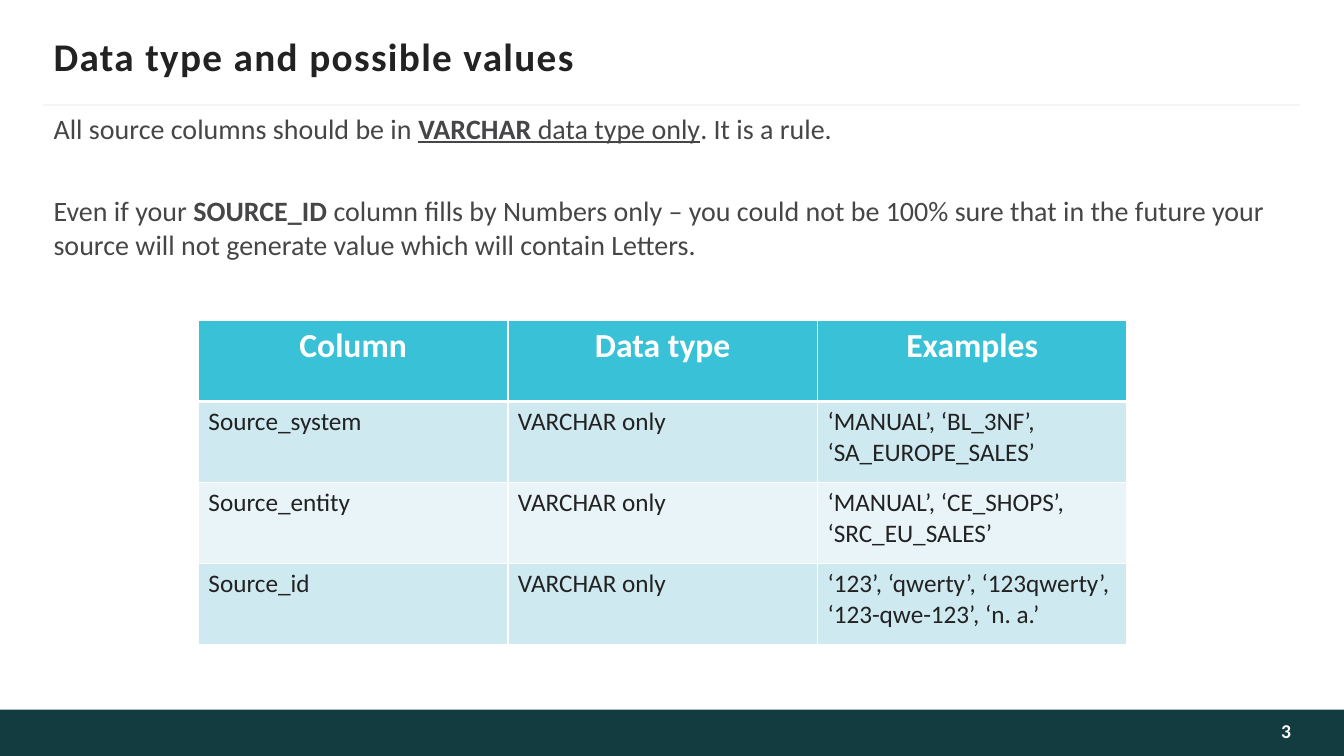
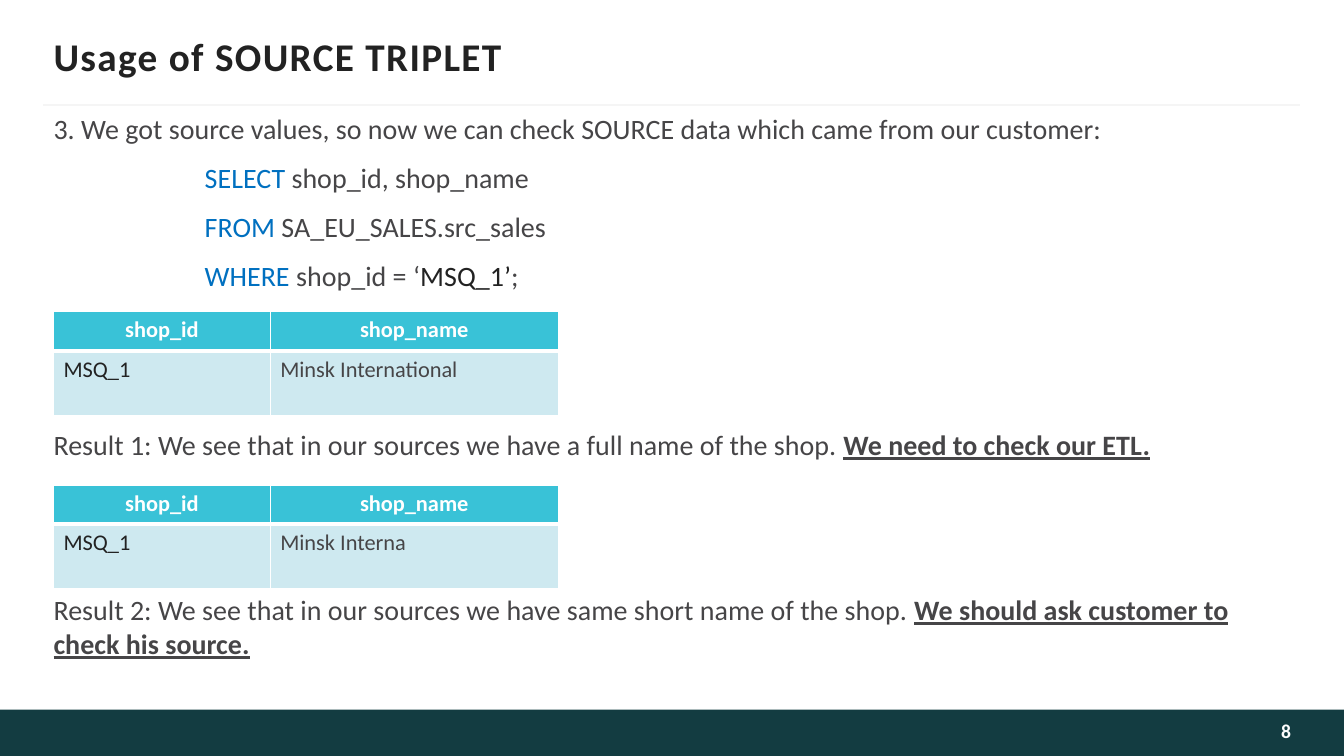
from dataclasses import dataclass

from pptx import Presentation
from pptx.dml.color import RGBColor
from pptx.enum.shapes import MSO_CONNECTOR as Line, MSO_SHAPE as Shape
from pptx.enum.text import MSO_ANCHOR as Anchor, MSO_AUTO_SIZE as Fit, PP_ALIGN as Align
from pptx.oxml.ns import qn
from pptx.util import Cm, Pt
from lxml.etree import SubElement as Sub


@dataclass(frozen=True)
class Theme:
    font: str = "Calibri"
    ink: str = "222222"
    gray: str = "464547"
    blue: str = "0070C0"
    white: str = "FFFFFF"
    pale: str = "FEFEFE"
    rule: str = "F5F5F5"
    band: str = "133C41"
    head: str = "39C2D7"
    odd: str = "CEE9F0"
    even: str = "E8F4F8"
    title: int = 28
    body: int = 20
    num: int = 14


T = Theme()

# Page geometry in centimetres
WIDE, HIGH = 33.87, 19.05
LEFT, BAND = 1.35, 17.88
TITLE = (LEFT, 0.84, 31.22, 1.12)
RULE = (1.09, 2.64, 32.77, 2.64)
TOP, SPAN = 2.8, 30.73
NUM = (27.46, BAND, 5.08, HIGH - BAND)
INDENT = 3.81


# Content: a paragraph is (space before, space after, indent, runs);
# a run is (text, marks, colour), where b is bold and u is underlined
def para(before, after, *runs, indent=0):
    return before, after, indent, runs


def query(word, *rest):
    return para(5, 6, (word, "", T.blue), *rest, indent=INDENT)


def shops(top, name):
    return dict(at=(LEFT, top), cols=[5.46, 7.26], rows=[0.99, 1.63],
                sizes=(16, 16), inks=[T.ink, T.gray],
                cells=[("shop_id", "shop_name"), ("MSQ_1", name)])


SLIDES = [
    dict(
        title="Data type and possible values", num="3", high=4.45,
        text=[
            para(2.6, 3, ("All source columns should be in ",), ("VARCHAR ", "bu"),
                 ("data type only", "u"), (". It is a rule.",)),
            para(32, 3, ("Even if your ",), ("SOURCE_ID ", "b"),
                 ("column fills by Numbers only – you could not be 100% sure that "
                  "in the future your source will not generate value which will "
                  "contain Letters.",)),
        ],
        tables=[dict(
            at=(5, 8.08), cols=[7.8] * 3, rows=[2.04] * 4,
            sizes=(24, 18), inks=[T.ink] * 3,
            cells=[
                ("Column", "Data type", "Examples"),
                ("Source_system", "VARCHAR only",
                 "‘MANUAL’, ‘BL_3NF’, ‘SA_EUROPE_SALES’"),
                ("Source_entity", "VARCHAR only",
                 "‘MANUAL’, ‘CE_SHOPS’, ‘SRC_EU_SALES’"),
                ("Source_id", "VARCHAR only",
                 "‘123’, ‘qwerty’, ‘123qwerty’, ‘123-qwe-123’, ‘n. a.’"),
            ])],
    ),
    dict(
        title="Usage of SOURCE TRIPLET", num="8", high=13.8,
        text=[
            para(2.6, 6, ("3. We got source values, so now we can check SOURCE data "
                          "which came from our customer:",)),
            query("SELECT ", ("shop_id, shop_name",)),
            query("FROM ", ("SA_EU_SALES.src_sales",)),
            query("WHERE ", ("shop_id = ‘",), ("MSQ_1’", "", T.ink), (";",)),
            para(91, 3, ("Result 1: We see that in our sources we have a full name "
                         "of the shop. ",), ("We need to check our ETL.", "bu")),
            para(91, 3, ("Result 2: We see that in our sources we have same short "
                         "name of the shop. ",),
                 ("We should ask customer to check his source.", "bu")),
        ],
        tables=[shops(7.85, "Minsk International"), shops(12.22, "Minsk Interna")],
    ),
]


# Helpers
def rgb(code):
    return RGBColor.from_string(code)


def cms(vals):
    return [Cm(v) for v in vals]


def style(run, size, color, bold=False, under=False):
    font = run.font
    font.name, font.size, font.bold = T.font, Pt(size), bold
    font.underline = under
    font.color.rgb = rgb(color)


def frame(shape, pads, anchor=Anchor.TOP):
    box = shape.text_frame
    box.word_wrap, box.auto_size = True, Fit.NONE
    box.vertical_anchor = anchor
    (box.margin_left, box.margin_top,
     box.margin_right, box.margin_bottom) = cms(pads)
    return box


def label(box, text, size, color, align):
    box.text = text
    line = box.paragraphs[0]
    line.alignment = align
    style(line.runs[0], size, color, bold=True)
    return line.runs[0]


# Title, rule, band and number
def base(slide, title, num):
    band = slide.shapes.add_shape(Shape.RECTANGLE, *cms((0, BAND, WIDE, HIGH - BAND)))
    band.shadow.inherit = False
    band.fill.solid()
    band.fill.fore_color.rgb = rgb(T.band)
    band.line.fill.background()

    rule = slide.shapes.add_connector(Line.STRAIGHT, *cms(RULE))
    rule.line.color.rgb, rule.line.width = rgb(T.rule), Pt(1.5)
    Sub(rule._element.spPr, qn("a:effectLst"))

    head = slide.shapes.title
    head.left, head.top, head.width, head.height = cms(TITLE)
    box = frame(head, (0, 0.13, 0, 0.13), Anchor.MIDDLE)
    run = label(box, title, T.title, T.ink, Align.LEFT)
    run.font._element.set("spc", "100")

    box = frame(slide.shapes.add_textbox(*cms(NUM)), (0.25, 0.13, 0, 0.23), Anchor.MIDDLE)
    label(box, num, T.num, T.pale, Align.RIGHT)


def prose(slide, paras, high):
    box = frame(slide.shapes.add_textbox(*cms((LEFT, TOP, SPAN, high))), (0,) * 4)
    for i, (before, after, indent, runs) in enumerate(paras):
        line = box.add_paragraph() if i else box.paragraphs[0]
        line.space_before, line.space_after = Pt(before), Pt(after)
        if indent:
            line._p.get_or_add_pPr().set("marL", str(Cm(indent)))
        for text, *look in runs:
            marks, color = (look + ["", T.gray][len(look):])
            run = line.add_run()
            run.text = text
            style(run, T.body, color, "b" in marks, "u" in marks)


def edge(cell, side, width):
    line = Sub(cell._tc.get_or_add_tcPr(), qn("a:ln" + side), w=str(Pt(width)))
    Sub(Sub(line, qn("a:solidFill")), qn("a:srgbClr"), val=T.white)


def grid(slide, at, cols, rows, sizes, inks, cells):
    table = slide.shapes.add_table(
        len(rows), len(cols), *cms((*at, sum(cols), sum(rows)))).table
    for col, wide in zip(table.columns, cols):
        col.width = Cm(wide)
    for r, (row, high) in enumerate(zip(table.rows, rows)):
        row.height = Cm(high)
        fill = T.head if r == 0 else T.odd if r % 2 else T.even
        for cell, text, ink in zip(row.cells, cells[r], inks):
            # A thick line parts the header from the data
            for side in "LRTB":
                edge(cell, side, 3 if (r, side) in ((0, "B"), (1, "T")) else 1)
            cell.fill.solid()
            cell.fill.fore_color.rgb = rgb(fill)
            cell.text = text
            line = cell.text_frame.paragraphs[0]
            line.alignment = Align.LEFT if r else Align.CENTER
            style(line.runs[0], sizes[min(r, 1)], ink if r else T.white, bold=r == 0)


def main():
    deck = Presentation()
    deck.slide_width, deck.slide_height = cms((WIDE, HIGH))
    for page in SLIDES:
        slide = deck.slides.add_slide(deck.slide_layouts[5])
        base(slide, page["title"], page["num"])
        prose(slide, page["text"], page["high"])
        for table in page["tables"]:
            grid(slide, **table)
    deck.save("out.pptx")


if __name__ == "__main__":
    main()
